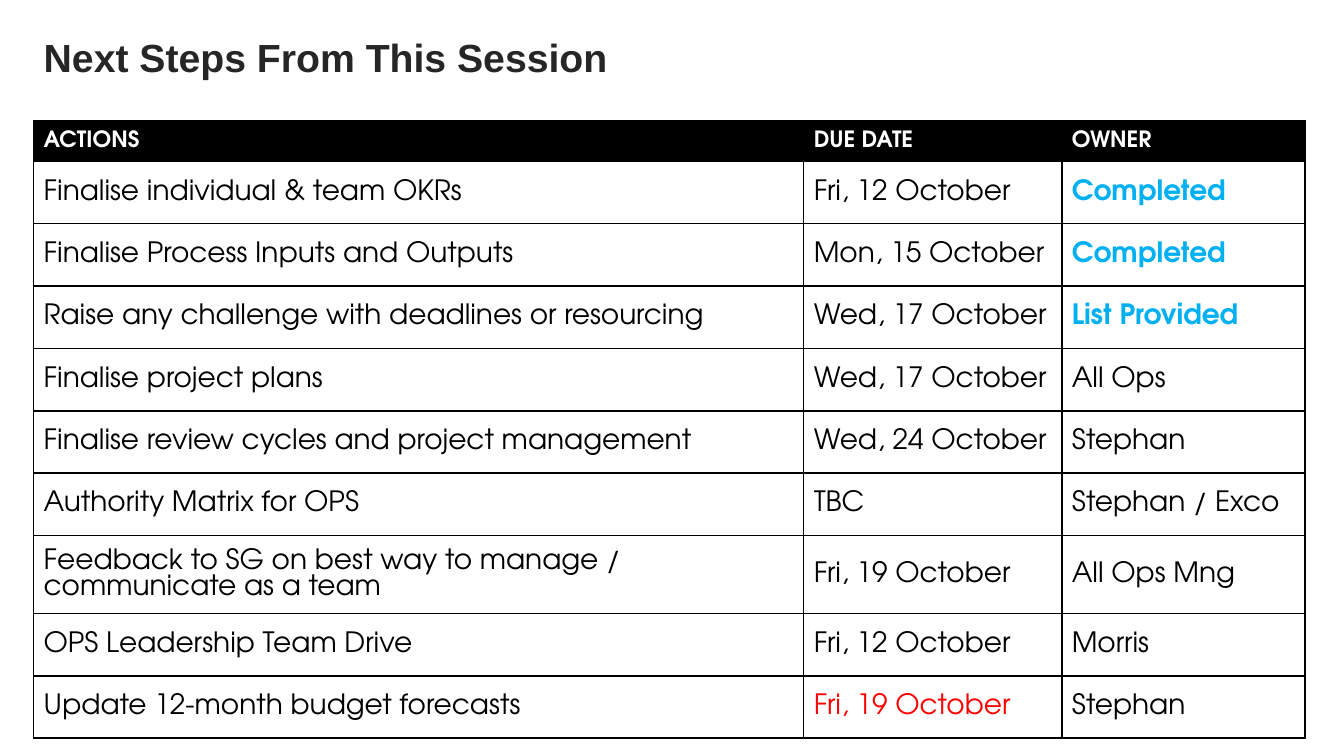
import dataclasses

import lxml.etree
import pptx
import pptx.dml.color
import pptx.enum.text
import pptx.oxml.ns
import pptx.slide
import pptx.table
import pptx.text.text
import pptx.util

Inches = pptx.util.Inches
Pt = pptx.util.Pt
Color = pptx.dml.color.RGBColor
MIDDLE = pptx.enum.text.MSO_ANCHOR.MIDDLE

BLACK = Color(0x00, 0x00, 0x00)
WHITE = Color(0xFF, 0xFF, 0xFF)
DARK = Color(0x26, 0x26, 0x26)
BLUE = Color(0x00, 0xB0, 0xF0)
RED = Color(0xFF, 0x00, 0x00)

TITLE_FONT = "Arial"
TABLE_FONT = "TeX Gyre Adventor"
HEADS = ("ACTIONS", "DUE DATE", "OWNER")
WIDTHS = (5.73, 1.92, 1.81)
HEIGHT = 4.48
HEAD_HEIGHT = 0.3
FRAME = Inches(3.28)
SIDE = Inches(0.3 / 4)
EDGE = Inches(0.04)


@dataclasses.dataclass(frozen=True)
class Step:
    action: str
    due: str
    owner: str
    done: bool = False
    urgent: bool = False


STEPS = (
    Step("Finalise individual & team OKRs", "Fri, 12 October", "Completed", done=True),
    Step("Finalise Process Inputs and Outputs", "Mon, 15 October", "Completed", done=True),
    Step("Raise any challenge with deadlines or resourcing", "Wed, 17 October",
         "List Provided", done=True),
    Step("Finalise project plans", "Wed, 17 October", "All Ops"),
    Step("Finalise review cycles and project management", "Wed, 24 October", "Stephan"),
    Step("Authority Matrix for OPS", "TBC", "Stephan / Exco"),
    Step("Feedback to SG on best way to manage / communicate as a team",
         "Fri, 19 October", "All Ops Mng"),
    Step("OPS Leadership Team Drive", "Fri, 12 October", "Morris"),
    Step("Update 12-month budget forecasts", "Fri, 19 October", "Stephan", urgent=True),
)


def style(frame: pptx.text.text.TextFrame, font: str, size: float,
          color: Color, bold: bool) -> None:
    for run in frame.paragraphs[0].runs:
        run.font.name = font
        run.font.size = Pt(size)
        run.font.color.rgb = color
        run.font.bold = bold


def add_title(slide: pptx.slide.Slide, text: str) -> None:
    box = slide.shapes.add_textbox(Inches(0.25), Inches(0.25), Inches(9.44), Inches(0.39))
    frame = box.text_frame
    frame.word_wrap = True
    frame.vertical_anchor = MIDDLE
    frame.margin_left = frame.margin_right = SIDE
    frame.margin_top = frame.margin_bottom = EDGE
    frame.text = text
    frame.paragraphs[0].line_spacing = 0.9
    style(frame, TITLE_FONT, 21, DARK, True)


def add_border(cell: pptx.table._Cell) -> None:
    props = cell._tc.get_or_add_tcPr()
    qn = pptx.oxml.ns.qn
    for side in ("lnL", "lnR", "lnT", "lnB"):
        line = lxml.etree.SubElement(props, qn(f"a:{side}"), w=str(Pt(1)))
        fill = lxml.etree.SubElement(line, qn("a:solidFill"))
        lxml.etree.SubElement(fill, qn("a:srgbClr"), val=str(BLACK))


def fill_cell(cell: pptx.table._Cell, text: str, size: float,
              color: Color, bold: bool) -> None:
    cell.vertical_anchor = MIDDLE
    cell.margin_left = cell.margin_right = SIDE
    cell.margin_top = cell.margin_bottom = EDGE
    cell.text_frame.text = text
    style(cell.text_frame, TABLE_FONT, size, color, bold)
    add_border(cell)
    cell.fill.background()


def add_steps(slide: pptx.slide.Slide) -> None:
    shape = slide.shapes.add_table(
        len(STEPS) + 1, len(HEADS), Inches(0.25), Inches(0.9), FRAME, FRAME)
    table = shape.table
    table.horz_banding = False
    for column, width in zip(table.columns, WIDTHS):
        column.width = Inches(width)
    for row in table.rows:
        row.height = Inches((HEIGHT - HEAD_HEIGHT) / len(STEPS))
    table.rows[0].height = Inches(HEAD_HEIGHT)
    shape.width = shape.height = FRAME

    for col, head in enumerate(HEADS):
        cell = table.cell(0, col)
        fill_cell(cell, head, 12, WHITE, True)
        cell.fill.solid()
        cell.fill.fore_color.rgb = BLACK
    for row, step in enumerate(STEPS, 1):
        fill_cell(table.cell(row, 0), step.action, 15, BLACK, False)
        fill_cell(table.cell(row, 1), step.due, 15, RED if step.urgent else BLACK, False)
        fill_cell(table.cell(row, 2), step.owner, 15, BLUE if step.done else BLACK, step.done)


def main() -> None:
    deck = pptx.Presentation()
    deck.slide_width = Inches(10)
    deck.slide_height = Inches(10 * 9 / 16)
    slide = deck.slides.add_slide(deck.slide_layouts[6])
    add_title(slide, "Next Steps From This Session")
    add_steps(slide)
    deck.save("out.pptx")


if __name__ == "__main__":
    main()
